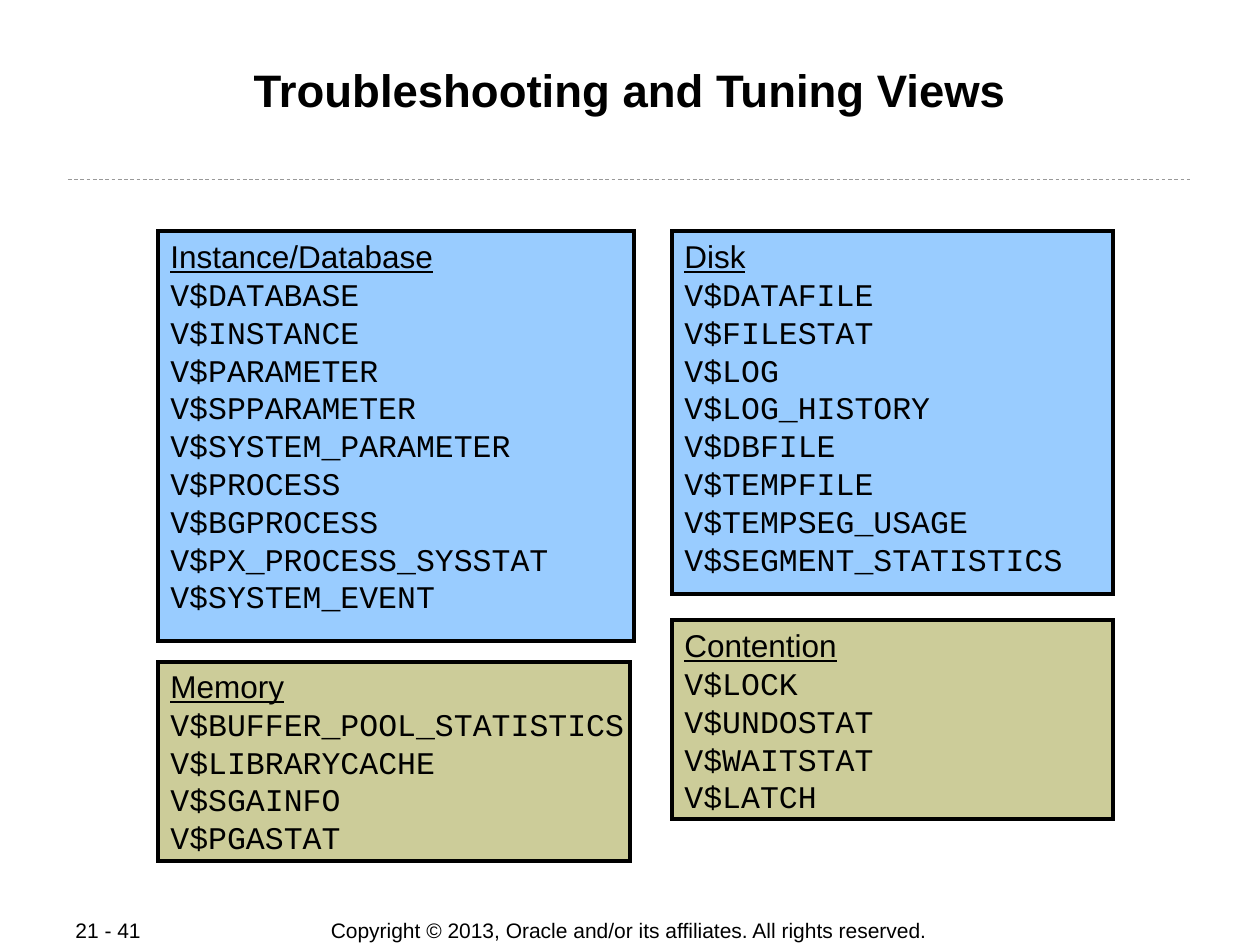
from pptx import Presentation
from pptx.dml.color import RGBColor
from pptx.enum.dml import MSO_LINE
from pptx.enum.shapes import MSO_CONNECTOR, MSO_SHAPE
from pptx.enum.text import MSO_ANCHOR, PP_ALIGN
from pptx.oxml.ns import qn
from pptx.util import Pt
from lxml import etree

COLORS = {"ink": "000000", "rule": "999999", "blue": "99CCFF", "olive": "CCCC99"}

TITLE = "Troubleshooting and Tuning Views"
PAGE = "21 - 41"
RIGHTS = "Copyright © 2013, Oracle and/or its affiliates. All rights reserved."

# Heading, views, fill, frame box, label size (None: text sits in the frame)
PANELS = [
    ("Instance/Database",
     ["V$DATABASE", "V$INSTANCE", "V$PARAMETER", "V$SPPARAMETER",
      "V$SYSTEM_PARAMETER", "V$PROCESS", "V$BGPROCESS",
      "V$PX_PROCESS_SYSSTAT", "V$SYSTEM_EVENT"],
     "blue", (158, 231, 476, 410), (494, 391)),
    ("Disk",
     ["V$DATAFILE", "V$FILESTAT", "V$LOG", "V$LOG_HISTORY", "V$DBFILE",
      "V$TEMPFILE", "V$TEMPSEG_USAGE", "V$SEGMENT_STATISTICS"],
     "blue", (672, 231, 441, 363), (472, 353)),
    ("Contention",
     ["V$LOCK", "V$UNDOSTAT", "V$WAITSTAT", "V$LATCH"],
     "olive", (672, 620, 441, 199), (472, 202)),
    ("Memory",
     ["V$BUFFER_POOL_STATISTICS", "V$LIBRARYCACHE", "V$SGAINFO", "V$PGASTAT"],
     "olive", (158, 662, 472, 199), None),
]


def px(n):
    return round(n * 914400 / 126)


def color(name):
    return RGBColor.from_string(COLORS[name])


def style(para, size, face="Arial", bold=False, under=False, align=PP_ALIGN.LEFT):
    para.alignment = align
    font = para.font
    font.size, font.name = Pt(size), face
    font.bold, font.underline = bold, under
    font.color.rgb = color("ink")


def add_text(slide, box, text, size, anchor, **look):
    frame = slide.shapes.add_textbox(*map(px, box)).text_frame
    frame.word_wrap = True
    frame.vertical_anchor = anchor
    frame.text = text
    style(frame.paragraphs[0], size, **look)
    return frame


def add_panel(slide, head, views, fill, box, label):
    # Frame with square corners
    rect = slide.shapes.add_shape(MSO_SHAPE.RECTANGLE, *map(px, box))
    rect.shadow.inherit = False
    rect.fill.solid()
    rect.fill.fore_color.rgb = color(fill)
    rect.line.color.rgb = color("ink")
    rect.line.width = Pt(2.25)
    edge = rect.element.spPr.find(qn("a:ln"))
    etree.SubElement(edge, qn("a:miter"), lim="800000")

    # Heading and view names
    if label:
        frame = slide.shapes.add_textbox(*map(px, box[:2] + label)).text_frame
        frame.vertical_anchor = MSO_ANCHOR.TOP
    else:
        frame = rect.text_frame
        frame.vertical_anchor = MSO_ANCHOR.MIDDLE
        frame.margin_right = 0
    frame.word_wrap = True
    frame.text = "\n".join([head] + views)
    first, *rest = frame.paragraphs
    style(first, 18, under=True)
    for para in rest:
        style(para, 18, face="Courier New")


def main():
    deck = Presentation()
    deck.slide_width, deck.slide_height = px(1260), px(945)
    slide = deck.slides.add_slide(deck.slide_layouts[6])

    # Title and rule
    title = add_text(slide, (63, 60, 1134, 121), TITLE, 26, MSO_ANCHOR.TOP,
                     bold=True, align=PP_ALIGN.CENTER)
    title.margin_top = px(2)
    rule = slide.shapes.add_connector(
        MSO_CONNECTOR.STRAIGHT, px(68), px(179), px(1192), px(179))
    rule.line.color.rgb = color("rule")
    rule.line.width = Pt(0.5)
    rule.line.dash_style = MSO_LINE.DASH
    etree.SubElement(rule.element.spPr, qn("a:effectLst"))

    for panel in PANELS:
        add_panel(slide, *panel)

    # Footer
    add_text(slide, (63, 917, 134, 26), PAGE, 12, MSO_ANCHOR.MIDDLE)
    add_text(slide, (309, 917, 640, 26), RIGHTS, 12, MSO_ANCHOR.MIDDLE,
             align=PP_ALIGN.CENTER)

    deck.save("out.pptx")


if __name__ == "__main__":
    main()
